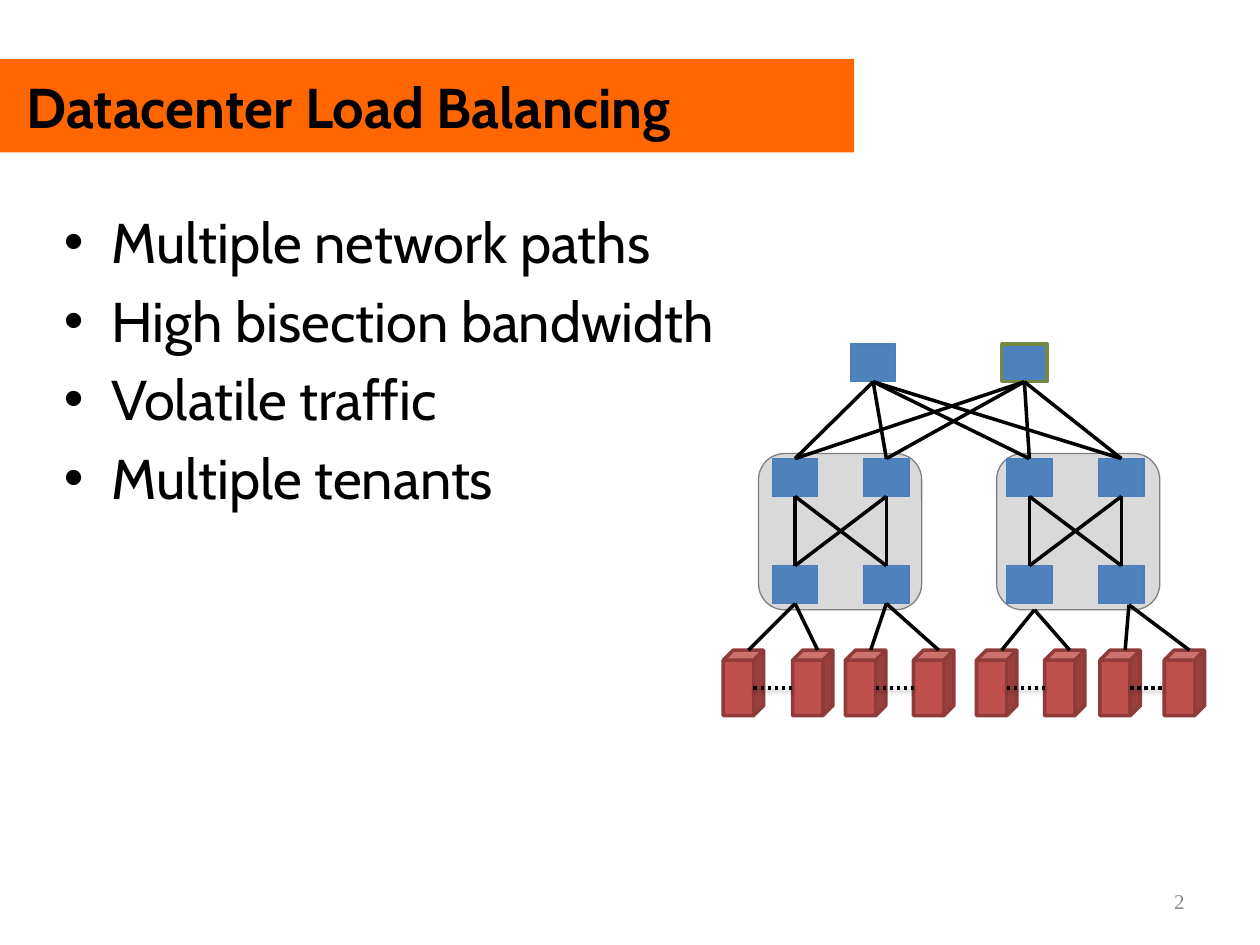
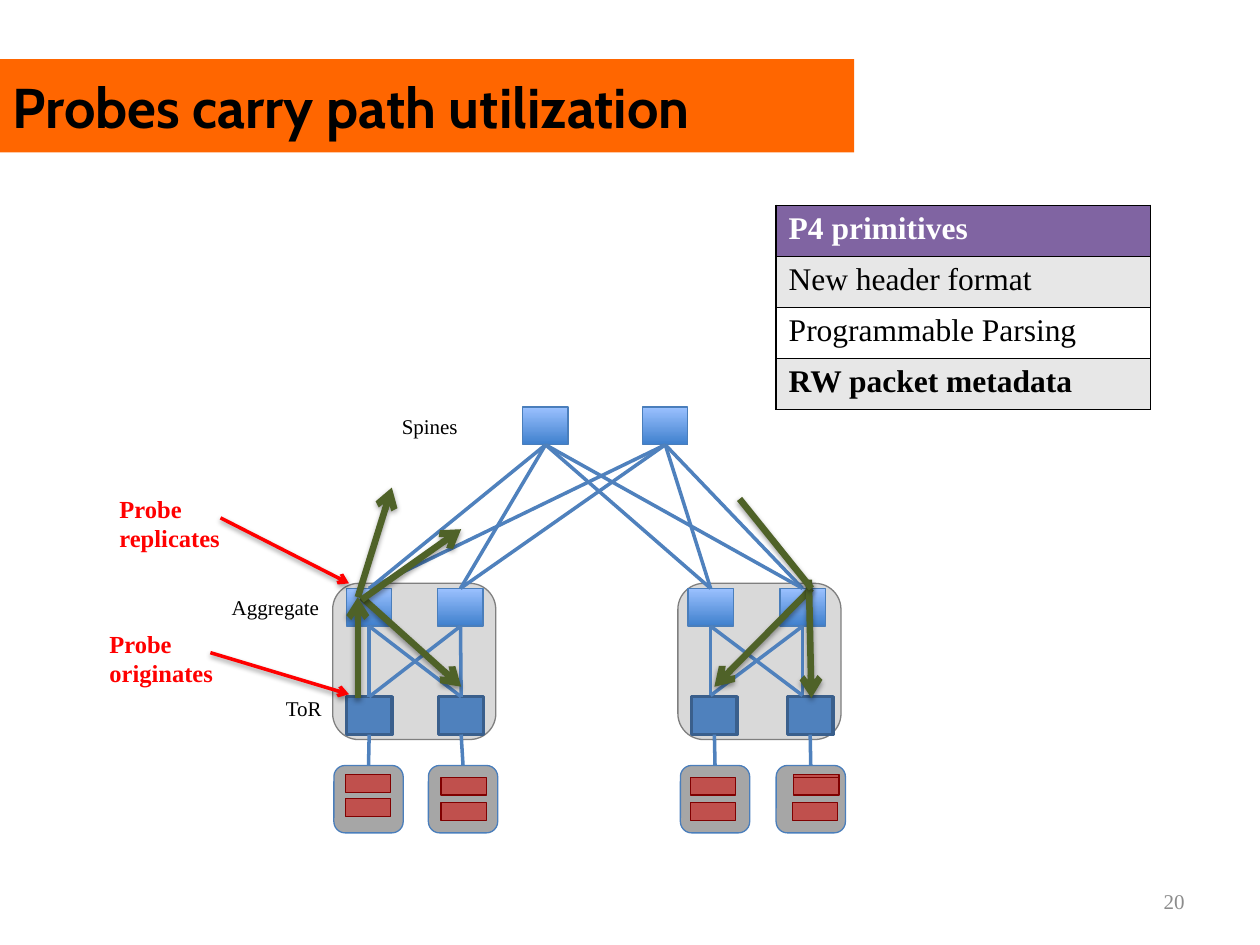
from dataclasses import dataclass
from itertools import product

from lxml.etree import SubElement
from pptx import Presentation
from pptx.dml.color import RGBColor
from pptx.enum.dml import MSO_LINE
from pptx.enum.shapes import MSO_CONNECTOR, MSO_SHAPE
from pptx.enum.text import MSO_ANCHOR, PP_ALIGN
from pptx.oxml import parse_xml
from pptx.oxml.ns import nsdecls, qn
from pptx.shapes.autoshape import Shape
from pptx.util import Inches, Pt


@dataclass(frozen=True)
class Font:
    name: str
    size: float
    color: str
    bold: bool = False


@dataclass(frozen=True)
class Look:
    fill: tuple
    line: str = ""
    width: float = 0.75


@dataclass(frozen=True)
class Theme:
    title = Font("Cabin", 32, "000000", True)
    body = Font("Cabin", 32, "000000")
    foot = Font("Times New Roman", 12, "8C8C8C")
    label = Font("Times New Roman", 12, "000000")
    alert = Font("Times New Roman", 14, "FF0000", True)
    head = Font("Times New Roman", 18, "FFFFFF", True)
    cell = Font("Times New Roman", 18, "000000")
    strong = Font("Times New Roman", 18, "000000", True)
    band = Look(("FF6600",))
    pod = Look(("D9D9D9",), "7F7F7F")
    switch = Look(("4F81BD",), "4A7EBB")
    chosen = Look(("4F81BD",), "738A42", 2)
    glow = Look(("9BC1FF", "3F80CD"), "4A7EBB")
    tor = Look(("4F81BD",), "3A5F8C", 2)
    host = Look(("C0504D",), "8E3B39", 2)
    rack = Look(("A6A6A6",), "4A7EBB")
    blade = Look(("C0504D",), "800000")
    black = "000000"
    blue = "4F81BD"
    green = "4F6228"
    red = "FF0000"
    purple = "8064A2"
    gray = "E7E7E7"
    white = "FFFFFF"


class Deck:
    cols, rows = 100, 75

    def __init__(self, theme):
        self.theme = theme
        self.show = Presentation()
        self.show.slide_width = Inches(10)
        self.show.slide_height = Inches(7.5)
        self.slide = None

    def x(self, col):
        return int(self.show.slide_width * col / self.cols)

    def y(self, row):
        return int(self.show.slide_height * row / self.rows)

    def area(self, x, y, w, h):
        return self.x(x), self.y(y), self.x(w), self.y(h)

    def page(self, title, number, inset=1):
        self.slide = self.show.slides.add_slide(self.show.slide_layouts[6])
        band = self.box(self.theme.band, 0, 4.7, 67.8, 7.4)
        band.text_frame.margin_left = self.x(inset)
        self.set_text(band.text_frame, [title], self.theme.title, MSO_ANCHOR.MIDDLE)
        foot = self.note([number], self.theme.foot, 71.7, 69.5, 23.3, 4, MSO_ANCHOR.MIDDLE)
        foot.paragraphs[0].alignment = PP_ALIGN.RIGHT

    def style(self, para, font):
        para.font.name = font.name
        para.font.size = Pt(font.size)
        para.font.bold = font.bold
        para.font.color.rgb = RGBColor.from_string(font.color)

    def set_text(self, frame, lines, font, anchor=MSO_ANCHOR.TOP):
        frame.word_wrap = True
        frame.vertical_anchor = anchor
        for i, line in enumerate(lines):
            para = frame.add_paragraph() if i else frame.paragraphs[0]
            para.text = line
            para.alignment = PP_ALIGN.LEFT
            self.style(para, font)

    def note(self, lines, font, x, y, w, h, anchor=MSO_ANCHOR.TOP):
        frame = self.slide.shapes.add_textbox(*self.area(x, y, w, h)).text_frame
        self.set_text(frame, lines, font, anchor)
        return frame

    def bullets(self, lines, *area):
        for para in self.note(lines, self.theme.body, *area).paragraphs:
            para.space_before = Pt(6.4)
            props = para._p.get_or_add_pPr()
            props.set("marL", str(self.x(3.75)))
            props.set("indent", str(-self.x(3.75)))
            SubElement(props, qn("a:buFont")).set("typeface", "Arial")
            SubElement(props, qn("a:buChar")).set("char", "•")

    def box(self, look, x, y, w, h, kind=MSO_SHAPE.RECTANGLE):
        shape = self.slide.shapes.add_shape(kind, *self.area(x, y, w, h))
        shape.shadow.inherit = False
        if len(look.fill) > 1:
            shape.fill.gradient()
            shape.fill.gradient_angle = 270
            for stop, color in zip(shape.fill.gradient_stops, look.fill):
                stop.color.rgb = RGBColor.from_string(color)
        else:
            shape.fill.solid()
            shape.fill.fore_color.rgb = RGBColor.from_string(look.fill[0])
        if look.line:
            shape.line.color.rgb = RGBColor.from_string(look.line)
            shape.line.width = Pt(look.width)
        else:
            shape.line.fill.background()
        return shape

    def tier(self, look, xs, y, w=3.6, h=3, kind=MSO_SHAPE.RECTANGLE):
        return [self.box(look, x, y, w, h, kind) for x in xs]

    def wire(self, start, stop, color, width=2, dash=None, arrow=False, shade=False):
        link = self.slide.shapes.add_connector(MSO_CONNECTOR.STRAIGHT, 0, 0, 0, 0)
        if isinstance(start[0], Shape):
            link.begin_connect(*start)
        else:
            link.begin_x, link.begin_y = self.x(start[0]), self.y(start[1])
        if isinstance(stop[0], Shape):
            link.end_connect(*stop)
        else:
            link.end_x, link.end_y = self.x(stop[0]), self.y(stop[1])
        link.line.color.rgb = RGBColor.from_string(color)
        link.line.width = Pt(width)
        if dash:
            link.line.dash_style = dash
        props = link._element.spPr
        if arrow:
            SubElement(props.find(qn("a:ln")), qn("a:tailEnd")).set("type", "arrow")
        effect = SubElement(props, qn("a:effectLst"))
        if shade:
            effect.append(parse_xml(
                f'<a:outerShdw {nsdecls("a")} blurRad="{Pt(3.1)}" dist="{Pt(1.6)}" '
                'dir="5400000" rotWithShape="0"><a:srgbClr val="000000">'
                '<a:alpha val="38000"/></a:srgbClr></a:outerShdw>'))

    def mesh(self, tops, feet, color):
        for top, foot in product(tops, feet):
            self.wire(foot, (top, 2), color)

    def table(self, rows, x, y, w, h):
        grid = self.slide.shapes.add_table(len(rows), 1, *self.area(x, y, w, h)).table
        for i, (text, font, fill) in enumerate(rows):
            cell = grid.cell(i, 0)
            self.set_text(cell.text_frame, [text], font)
            cell.fill.solid()
            cell.fill.fore_color.rgb = RGBColor.from_string(fill)
            props = cell._tc.get_or_add_tcPr()
            for j, side in enumerate("LRTB"):
                props.insert(j, parse_xml(
                    f'<a:ln{side} {nsdecls("a")} w="{Pt(1)}"><a:solidFill>'
                    f'<a:srgbClr val="{self.theme.black}"/></a:solidFill></a:ln{side}>'))


def heads(shapes):
    return [(shape, 0) for shape in shapes]


def balance(deck):
    look = deck.theme
    deck.page("Datacenter Load Balancing", "2", 2.1)
    deck.bullets(["Multiple network paths", "High bisection bandwidth",
                  "Volatile traffic", "Multiple tenants"], 4.1, 16, 90, 49.5)
    deck.tier(look.pod, (60.2, 79.1), 36, 12.95, 12.4, MSO_SHAPE.ROUNDED_RECTANGLE)
    xs = (61.3, 68.55, 79.9, 87.2)
    spines = [deck.box(look.switch, 67.5, 27.3, 3.6, 3),
              deck.box(look.chosen, 79.5, 27.3, 3.6, 3)]
    aggs = deck.tier(look.switch, xs, 36.4)
    tors = deck.tier(look.switch, xs, 44.9)
    deck.mesh(spines, heads(aggs), look.black)
    for pod in (slice(0, 2), slice(2, 4)):
        deck.mesh(aggs[pod], heads(tors[pod]), look.black)

    pairs = ((57.4, 62.9), (67.1, 72.5), (77.5, 82.9), (87.3, 92.4))
    roots = ((tors[0], 2), (tors[1], 2), (82.1, 48.4), (89.6, 48))
    for pair, root in zip(pairs, roots):
        deck.tier(look.host, pair, 51.6, 3.2, 5.2, MSO_SHAPE.CUBE)
        for x in pair:
            deck.wire((x + 2, 51.6), root, look.black)
        deck.wire((pair[0] + 2.4, 54.6), (pair[1], 54.6), look.black,
                  dash=MSO_LINE.ROUND_DOT, shade=True)


def probes(deck):
    look = deck.theme
    deck.page("Probes carry path utilization", "20")
    deck.tier(look.pod, (26.4, 53.8), 46.3, 12.95, 12.4, MSO_SHAPE.ROUNDED_RECTANGLE)
    spines = deck.tier(look.glow, (41.5, 51), 32.3)
    aggs = deck.tier(look.glow, (27.5, 34.75, 54.6, 61.9), 46.7)
    tors = deck.tier(look.tor, (27.5, 34.8, 54.9, 62.5), 55.3)
    racks = deck.tier(look.rack, (26.5, 34, 54, 61.6), 60.75, 5.5, 5.35,
                      MSO_SHAPE.ROUNDED_RECTANGLE)
    deck.mesh(spines, heads(aggs), look.blue)
    deck.mesh(aggs[:2], heads(tors[:2]), look.blue)
    deck.mesh(aggs[2:], [(56.4, 55.2), (63.7, 55.2)], look.blue)
    for tor, rack in zip(tors, racks):
        deck.wire((rack, 0), (tor, 2), look.blue)
    deck.tier(look.blade, (27.4, 63), 61.5, h=1.4)
    deck.tier(look.blade, (35, 54.8, 63), 61.7, h=1.4)
    deck.box(look.blade, 27.4, 63.4, 3.6, 1.4)
    deck.tier(look.blade, (35, 54.8, 62.9), 63.7, h=1.4)

    hops = (((28.7, 47.4), (36.6, 54.5)), ((28.4, 47.4), (31.1, 38.7)),
            ((28.7, 47.6), (36.6, 42)), ((64.4, 46.7), (56.7, 54.5)),
            ((64.2, 46), (64.4, 55.4)), ((28.4, 55.4), (28.4, 47.4)))
    for start, stop in hops:
        deck.wire(start, stop, look.green, 3.75, arrow=True, shade=True)
    deck.wire((64.4, 46.7), (58.7, 39.6), look.green, 3.75, shade=True)

    for text, x, y, w in (("ToR", 21.7, 54.7, 6), ("Aggregate", 17.4, 46.7, 11.8),
                          ("Spines", 30.9, 32.3, 7.5)):
        deck.note([text], look.label, x, y, w, 3)
    for text, x, y, start, stop in (
            ("Probe originates", 7.7, 49.4, (16.7, 51.8), (27.7, 55.1)),
            ("Probe replicates", 8.5, 38.7, (17.5, 41.1), (27.7, 46.3))):
        deck.note([text], look.alert, x, y, 11.4, 5.7)
        deck.wire(start, stop, look.red, arrow=True, shade=True)
    deck.table([("P4 primitives", look.head, look.purple),
                ("New header format", look.cell, look.gray),
                ("Programmable Parsing", look.cell, look.white),
                ("RW packet metadata", look.strong, look.gray)],
               61.6, 16.3, 29.7, 16.2)


def main():
    deck = Deck(Theme())
    balance(deck)
    probes(deck)
    deck.show.save("out.pptx")


if __name__ == "__main__":
    main()
